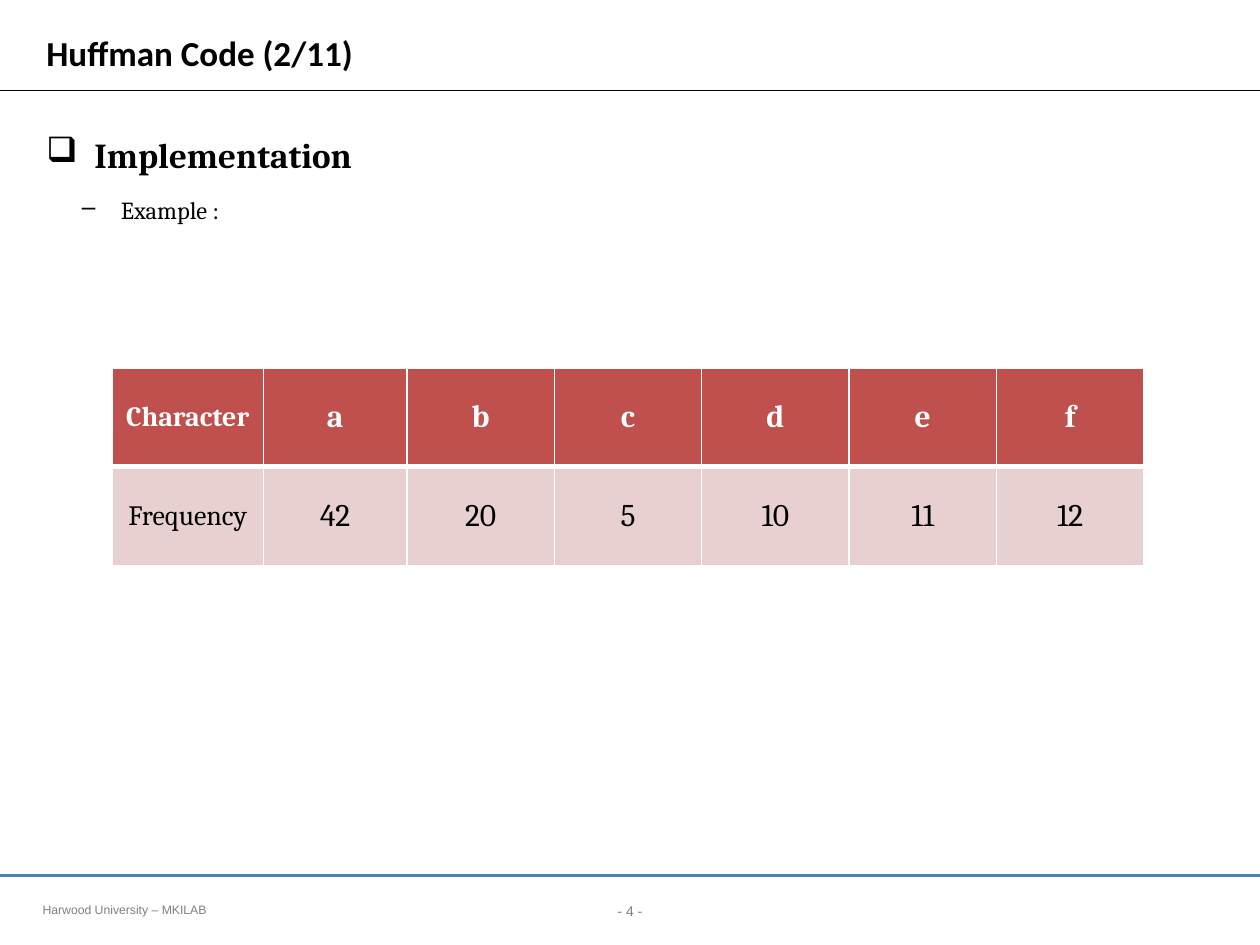
from lxml import etree
from pptx import Presentation
from pptx import util as u
from pptx.dml.color import RGBColor
from pptx.enum import shapes, text
from pptx.oxml import ns

BLACK = RGBColor(0x00, 0x00, 0x00)
WHITE = RGBColor(0xFF, 0xFF, 0xFF)
GRAY = RGBColor(0x80, 0x80, 0x80)
BLUE = RGBColor(0x4B, 0x7E, 0xBC)
RED = RGBColor(0xC0, 0x50, 0x4D)
PINK = RGBColor(0xE8, 0xD0, 0xD0)


def write(paragraph, words, color, **font):
    run = paragraph.add_run()
    run.text = words
    run.font.color.rgb = color
    for key, value in font.items():
        setattr(run.font, key, value)


def add_frame(left, top, width, height, anchor=text.MSO_ANCHOR.TOP):
    box = slide.shapes.add_textbox(*map(u.Inches, (left, top, width, height)))
    box.text_frame.word_wrap = True
    box.text_frame.vertical_anchor = anchor
    return box.text_frame


deck = Presentation()
deck.slide_width, deck.slide_height = u.Inches(10), u.Inches(7.5)
slide = deck.slides.add_slide(deck.slide_layouts[6])

for y, color, weight in [(0.72, BLACK, 0.75), (6.95, BLUE, 1.5)]:
    rule = slide.shapes.add_connector(
        shapes.MSO_CONNECTOR.STRAIGHT, 0, u.Inches(y), u.Inches(10), u.Inches(y))
    rule.line.color.rgb = color
    rule.line.width = u.Pt(weight)
    etree.SubElement(rule.line._get_or_add_ln().getparent(), ns.qn("a:effectLst"))

page_number = add_frame(0, 7.11, 10, 0.24).paragraphs[0]
page_format = {"alignment": text.PP_ALIGN.CENTER, "line_spacing": 1.01, "space_before": u.Pt(4)}
for key, value in page_format.items():
    setattr(page_number, key, value)
write(page_number, "- 4 -", GRAY, name="Arial", size=u.Pt(8))

affiliation = add_frame(0.24, 7.11, 3.84, 0.22).paragraphs[0]
write(affiliation, "Harwood University – MKILAB", GRAY, name="Arial", size=u.Pt(7))

outline = add_frame(0.27, 0.84, 9.38, 5.75)
topics = [
    ("Implementation", 0, 20, True, "❑", 0.38, -0.38),
    ("Example :", 1, 14, False, "–", 0.59, -0.31),
]
for words, level, size, bold, bullet, margin, indent in topics:
    topic = outline.add_paragraph() if level else outline.paragraphs[0]
    topic_format = {"level": level, "line_spacing": 1.5, "space_before": u.Pt(size * 0.2)}
    for key, value in topic_format.items():
        setattr(topic, key, value)
    properties = topic._p.get_or_add_pPr()
    properties.set("marL", str(u.Inches(margin)))
    properties.set("indent", str(u.Inches(indent)))
    etree.SubElement(properties, ns.qn("a:buChar"), char=bullet)
    write(topic, words, BLACK, name="Cambria", size=u.Pt(size), bold=bold)

title = add_frame(0.27, 0.21, 9.39, 0.42, text.MSO_ANCHOR.MIDDLE).paragraphs[0]
write(title, "Huffman Code (2/11)", BLACK, name="Calibri", size=u.Pt(20), bold=True)

frequencies = [
    ["Character", "a", "b", "c", "d", "e", "f"],
    ["Frequency", "42", "20", "5", "10", "11", "12"],
]
row_styles = [(RED, WHITE, True, 3), (PINK, BLACK, False, 1)]
table = slide.shapes.add_table(
    2, 7, u.Inches(0.89), u.Inches(2.92), u.Inches(8.21), u.Inches(1.57)).table
for column, width in zip(table.columns, [1.2, 1.14] + [1.17] * 5):
    column.width = u.Inches(width)

for r, (entries, (fill, color, bold, bottom)) in enumerate(zip(frequencies, row_styles)):
    top = 3 if r else 1
    for c, entry in enumerate(entries):
        cell = table.cell(r, c)
        cell.vertical_anchor = text.MSO_ANCHOR.MIDDLE
        borders = {"a:lnL": 1, "a:lnR": 1, "a:lnT": top, "a:lnB": bottom}
        for side, weight in borders.items():
            border = etree.SubElement(
                cell._tc.get_or_add_tcPr(), ns.qn(side), w=str(u.Pt(weight)))
            paint = etree.SubElement(border, ns.qn("a:solidFill"))
            etree.SubElement(paint, ns.qn("a:srgbClr"), val=str(WHITE))
        cell.fill.solid()
        cell.fill.fore_color.rgb = fill
        label = cell.text_frame.paragraphs[0]
        label.alignment = text.PP_ALIGN.CENTER
        write(label, entry, color, name="Cambria", size=u.Pt(18 if c else 16), bold=bold)

deck.save("out.pptx")
